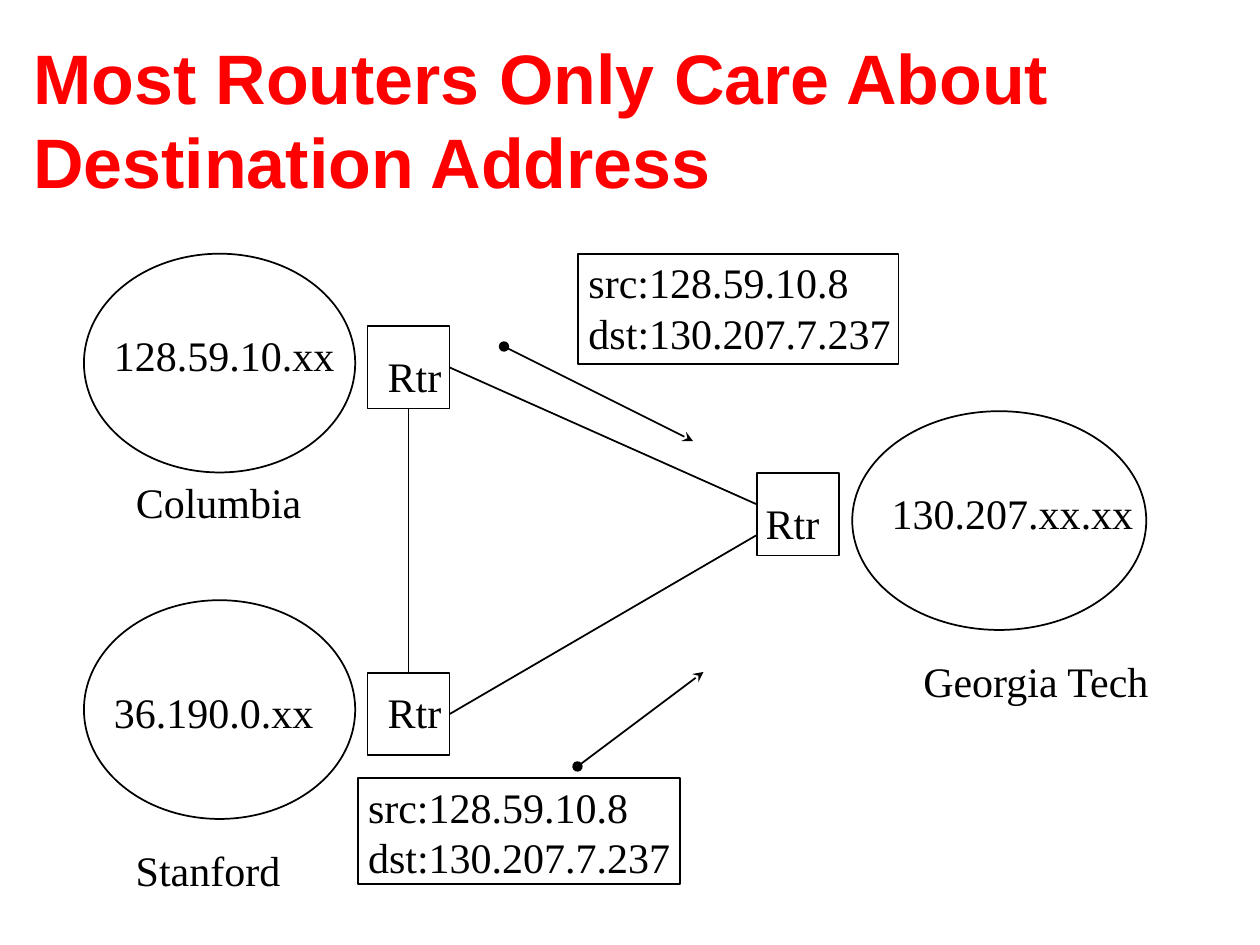
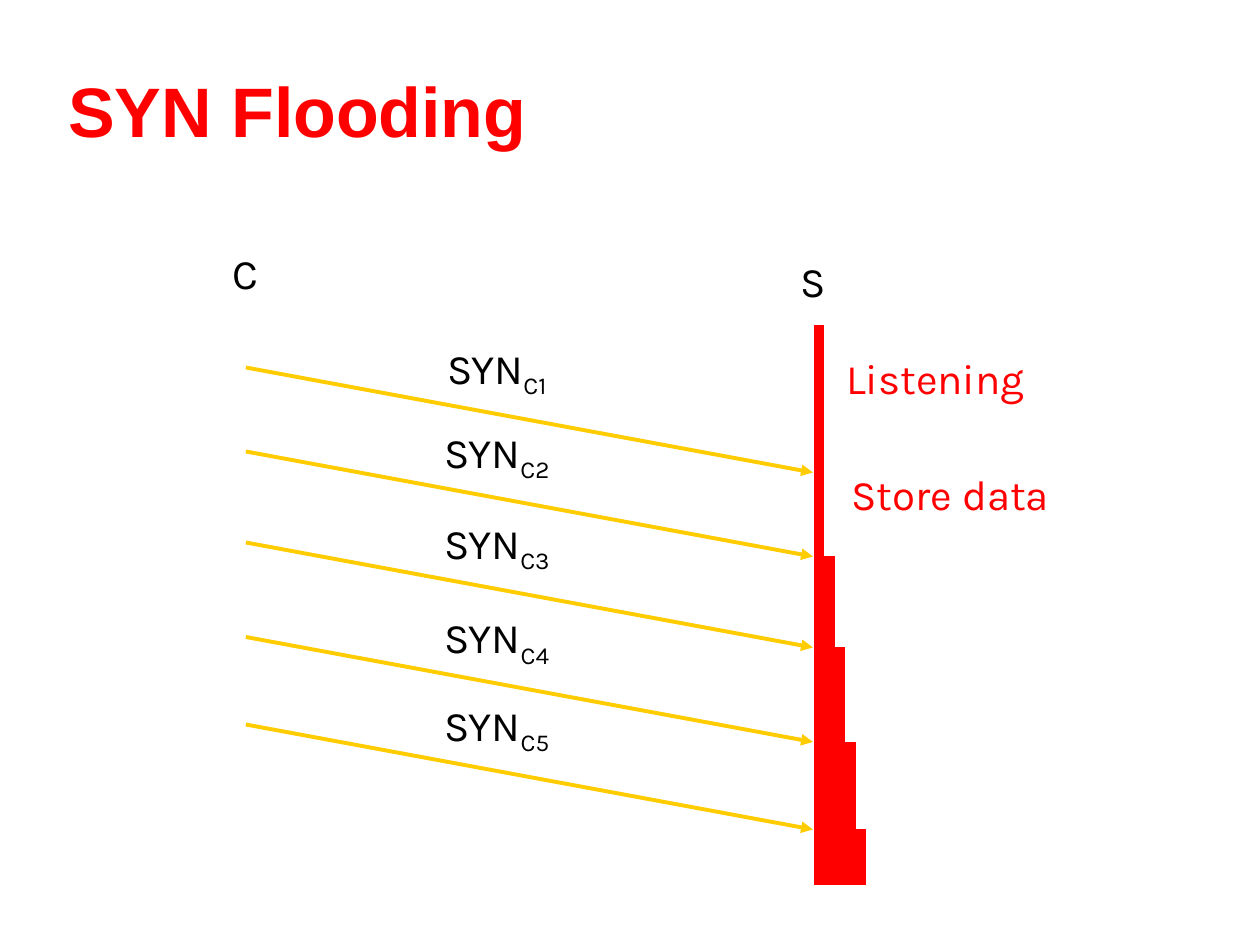
from collections import namedtuple

from lxml import etree
from pptx import Presentation
from pptx.dml.color import RGBColor
from pptx.enum import shapes, text
from pptx.oxml import ns
from pptx.util import Pt

Box = namedtuple("Box", "left top width height")

COLOURS = {"title": "FF0000", "ink": "000000", "message": "FFCC00", "server": "FF0000"}
FONTS = {
    "title": {"name": "Arial", "size": Pt(40), "bold": True},
    "network": {"name": "Times New Roman", "size": Pt(24)},
    "timeline": {"name": "Karla", "size": Pt(24)},
}
LEFT, CENTRE = text.PP_ALIGN.LEFT, text.PP_ALIGN.CENTER
TOP = text.MSO_ANCHOR.TOP


def colour(key):
    return RGBColor.from_string(COLOURS[key])


def inside(box, left, top, width, height):
    return Box(box.left + left, box.top + top, width, height)


def points(box):
    return [Pt(value) for value in box]


def set_values(target, values):
    for name, value in values.items():
        setattr(target, name, value)


def add_span(para, words, font, ink, baseline=None):
    span = para.add_run()
    span.text = words
    set_values(span.font, FONTS[font])
    span.font.color.rgb = colour(ink)
    if baseline:
        span._r.get_or_add_rPr().set("baseline", str(baseline))


def set_frame(frame, anchor, margin_x, margin_y, wrap):
    set_values(frame, {
        "auto_size": text.MSO_AUTO_SIZE.NONE, "word_wrap": wrap,
        "vertical_anchor": anchor,
        "margin_left": Pt(margin_x), "margin_right": Pt(margin_x),
        "margin_top": Pt(margin_y), "margin_bottom": Pt(margin_y),
    })


def add_label(page, box, words, font, ink="ink", align=LEFT, subscript=None):
    frame = page.shapes.add_textbox(*points(box)).text_frame
    set_frame(frame, TOP, 7.2 if align == LEFT else 6.5, 3.6, False)
    para = frame.paragraphs[0]
    para.alignment = align
    add_span(para, words, font, ink)
    if subscript:
        add_span(para, subscript, font, ink, -25000)


def add_outline(page, kind, box):
    shape = page.shapes.add_shape(kind, *points(box))
    shape.shadow.inherit = False
    shape.fill.background()
    shape.line.color.rgb = colour("ink")
    shape.line.width = Pt(1)
    return shape


def add_line(page, start, end, ink="ink", width=1, **arrowheads):
    line = page.shapes.add_connector(
        shapes.MSO_CONNECTOR.STRAIGHT, *points(start + end))
    line.line.color.rgb = colour(ink)
    line.line.width = Pt(width)
    properties = line._element.spPr
    stroke = properties.find(ns.qn("a:ln"))
    for side in ("headEnd", "tailEnd"):
        if side in arrowheads:
            etree.SubElement(stroke, ns.qn("a:" + side), type=arrowheads[side])
    etree.SubElement(properties, ns.qn("a:effectLst"))
    return line


def add_page(deck, title, box, anchor):
    page = deck.slides.add_slide(deck.slide_layouts[5])
    holder = page.shapes.title
    set_values(holder, dict(zip(box._fields, points(box))))
    set_frame(holder.text_frame, anchor, 7, 3.6, True)
    para = holder.text_frame.paragraphs[0]
    para.alignment = LEFT
    add_span(para, title, "title", "title")
    return page


def add_network(page, box, address, address_place, name, name_place):
    add_outline(page, shapes.MSO_SHAPE.OVAL, box)
    for words, place in ((address, address_place), (name, name_place)):
        add_label(page, inside(box, *place, 36), words, "network")


def add_router(page, box, label_left, label_top):
    router = add_outline(page, shapes.MSO_SHAPE.RECTANGLE, box)
    add_label(page, inside(box, label_left, label_top, 45, 36), "Rtr", "network")
    return router


def add_packet(page, box):
    frame = add_outline(page, shapes.MSO_SHAPE.RECTANGLE, box).text_frame
    set_frame(frame, TOP, 5.8, 1.8, False)
    for index, words in enumerate(("src:128.59.10.8", "dst:130.207.7.237")):
        para = frame.add_paragraph() if index else frame.paragraphs[0]
        para.alignment = LEFT
        add_span(para, words, "network", "ink")


def add_routing_map(page, box):
    add_network(page, inside(box, 0, 0, 155, 125),
                "128.59.10.xx", (10, 40, 140), "Columbia", (22.5, 123.5, 109))
    add_network(page, inside(box, 0, 198, 155, 125),
                "36.190.0.xx", (10, 46, 129), "Stanford", (22.5, 136, 97))
    add_network(page, inside(box, 439, 90, 168, 125),
                "130.207.xx.xx", (15.5, 40, 153), "Georgia Tech", (33.5, 136, 146))

    columbia, stanford, _ = [
        add_router(page, inside(box, left, top, 47, 47), *label)
        for left, top, label in (
            (162, 41.5, (4.5, 10)), (162, 239.5, (4.5, 4.5)), (384.5, 125.5, (-2, 10.5)))]

    centre = (box.left + 185.5, box.top + 160)
    trunk = add_line(page, centre, centre)
    trunk.begin_connect(columbia, 2)
    trunk.end_connect(stanford, 0)
    for router, arrival in ((columbia, 143), (stanford, 161)):
        link = add_line(page, centre, (box.left + 384, box.top + arrival))
        link.begin_connect(router, 3)

    for packet in ((282.5, 0, 183, 63), (156.5, 299.5, 184, 60.5)):
        add_packet(page, inside(box, *packet))
    for left, top, across, down in ((240, 53, 108, 54), (282, 293, 72, -54)):
        start = (box.left + left, box.top + top)
        add_line(page, start, (start[0] + across, start[1] + down),
                 headEnd="oval", tailEnd="stealth")


def add_flood_timeline(page, box):
    server = box.left + box.width
    bottom = box.top + box.height
    bar_width, travel = 6, 60
    first_bar = server + 3.5

    add_label(page, inside(box, -14.5, 0, 28, 35), "C", "timeline", align=CENTRE)
    add_label(page, inside(box, 311, 4.5, 26, 35), "S", "timeline", align=CENTRE)
    for words, place in (("Listening", (336, 60, 116, 35)),
                         ("Store data", (337.5, 126, 130, 35))):
        add_label(page, inside(box, *place), words, "timeline", "server", CENTRE)

    add_line(page, (first_bar, box.top + 48), (first_bar, box.top + 132),
             "server", bar_width)
    for index, sent in enumerate((72, 120, 172, 226, 276)):
        start = box.top + sent
        arrival = start + travel
        bar = first_bar + index * bar_width
        add_line(page, (box.left, start), (server, arrival),
                 "message", 2.25, tailEnd="triangle")
        add_label(page, inside(box, 106, sent - 18, 75, 39.5), "SYN", "timeline",
                  align=CENTRE, subscript=f"C{index + 1}")
        add_line(page, (bar, arrival), (bar, bottom), "server", bar_width)


def main():
    deck = Presentation()
    deck.slide_width, deck.slide_height = Pt(720), Pt(540)

    page = add_page(deck, "Most Routers Only Care About Destination Address",
                    Box(12, 23, 690, 90), text.MSO_ANCHOR.MIDDLE)
    add_routing_map(page, Box(48, 145, 607, 363))

    page = add_page(deck, "SYN Flooding", Box(32, 18, 612, 72), text.MSO_ANCHOR.BOTTOM)
    add_flood_timeline(page, Box(140.5, 138, 324, 368))

    deck.save("out.pptx")


if __name__ == "__main__":
    main()
